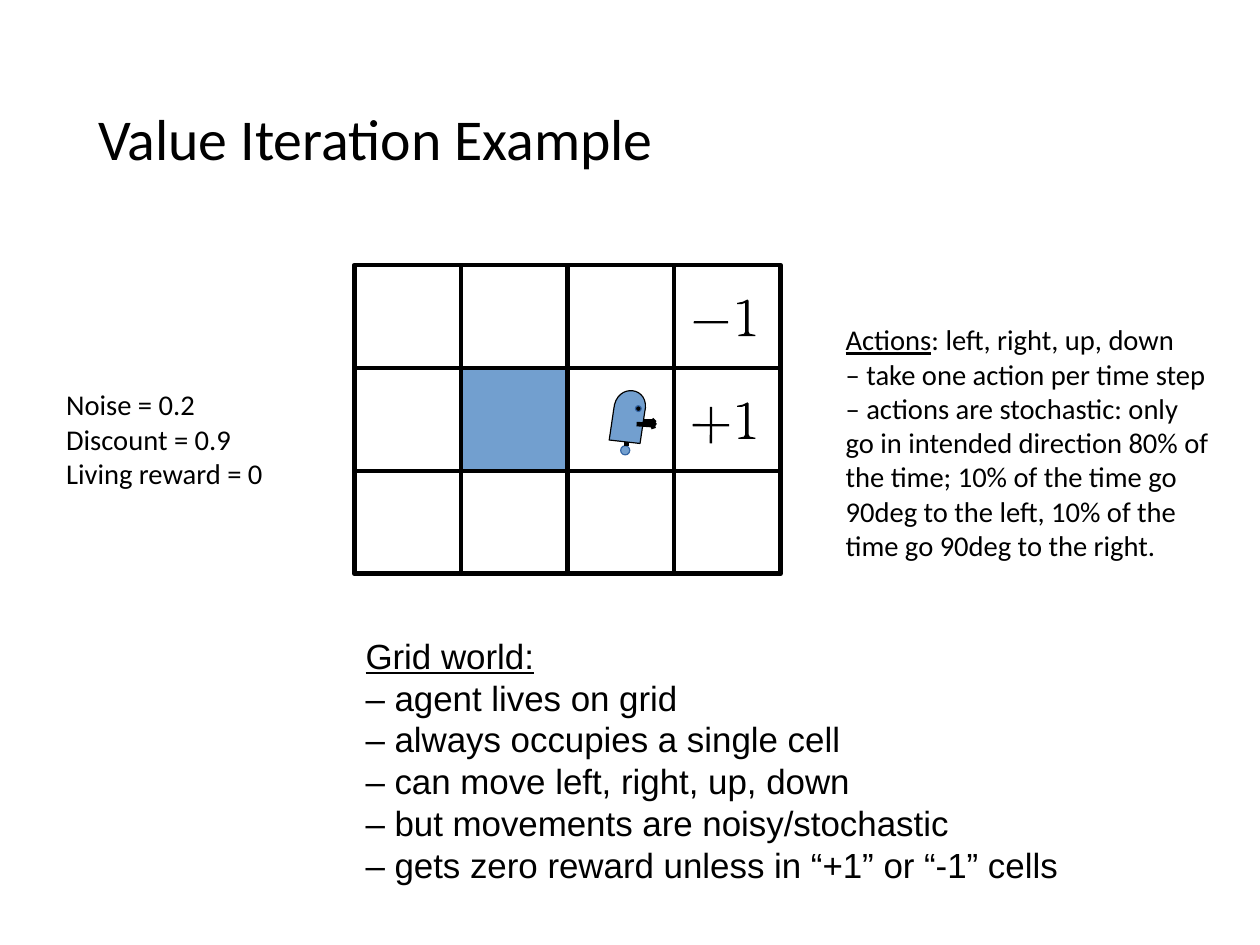
"""Build the value iteration slide: a grid world with its agent, rewards and notes."""
from lxml import etree
from pptx import Presentation
from pptx.dml.color import RGBColor
from pptx.enum.shapes import MSO_CONNECTOR, MSO_SHAPE as SHAPE
from pptx.enum.text import MSO_ANCHOR as ANCHOR
from pptx.oxml.ns import qn
from pptx.util import Inches, Pt

COLORS = {"ink": "000000", "blue": "729FCF", "edge": "3465A4"}


def paint(shape, fill=None, line=None, width=0):
    shape.shadow.inherit = False
    for part, name in ((shape.fill, fill), (shape.line.fill, line)):
        if name:
            part.solid()
            part.fore_color.rgb = RGBColor.from_string(COLORS[name])
        else:
            part.background()
    if line:
        shape.line.width = Pt(width)


def write(area, paragraphs, size, font, wrap=True, anchor=ANCHOR.TOP, spacing=None):
    box = page.shapes.add_textbox(*map(Inches, area))
    frame = box.text_frame
    frame.word_wrap = wrap
    frame.vertical_anchor = anchor
    for index, spans in enumerate(paragraphs):
        para = frame.paragraphs[0] if index == 0 else frame.add_paragraph()
        para.line_spacing = spacing
        for text, underlined in spans:
            span = para.add_run()
            span.text = text
            span.font.size = Pt(size)
            span.font.name = font
            span.font.underline = underlined
            span.font.color.rgb = RGBColor.from_string(COLORS["ink"])


CM_PER_INCH = 2.54
deck = Presentation()
deck.slide_width, deck.slide_height = Inches(28 / CM_PER_INCH), Inches(21 / CM_PER_INCH)
page = deck.slides.add_slide(deck.slide_layouts[6])
shapes = page.shapes

GRID_LEFT, GRID_TOP, GRID_WIDTH, CELL_HEIGHT = 3.1, 2.32, 3.73, 0.9
CELL_WIDTH = GRID_WIDTH / 4
STROKE = 2.89
WALL = (1, 1)

write((3.1, 5.5, 6.33, 2.23), [
    [("Grid world:", True)],
    [("– agent lives on grid", False)],
    [("– always occupies a single cell", False)],
    [("– can move left, right, up, down", False)],
    [("– but movements are noisy/stochastic", False)],
    [("– gets zero reward unless in “+1” or “-1” cells", False)],
], 22, "Arial", wrap=False)

for row in range(3):
    for column in range(4):
        cell = shapes.add_shape(
            SHAPE.RECTANGLE,
            Inches(GRID_LEFT + column * CELL_WIDTH), Inches(GRID_TOP + row * CELL_HEIGHT),
            Inches(CELL_WIDTH), Inches(CELL_HEIGHT))
        paint(cell, "blue" if (row, column) == WALL else None, "ink", STROKE)

head_curve = [(5.64, 3.61), (5.7, 3.38), (5.39, 3.34), (5.37, 3.58)]
body = []
for step in range(17):
    t = step / 16
    weights = ((1 - t) ** 3, 3 * t * (1 - t) ** 2, 3 * t * t * (1 - t), t ** 3)
    body.append([sum(w * point[axis] for w, point in zip(weights, head_curve)) for axis in (0, 1)])
body += [(5.33, 3.85), (5.6, 3.88)]

digit_one = [
    (6.55, 2.63), (6.54, 2.62), (6.5, 2.64), (6.45, 2.65), (6.45, 2.66), (6.49, 2.66),
    (6.52, 2.65), (6.52, 2.9), (6.51, 2.92), (6.46, 2.93), (6.46, 2.94), (6.61, 2.94),
    (6.61, 2.93), (6.56, 2.92), (6.55, 2.9)]
lower_one = [(x, y + CELL_HEIGHT) for x, y in digit_one]

for outline, fill, line in ((body, "blue", "ink"), (digit_one, "ink", None), (lower_one, "ink", None)):
    points = [(Inches(x), Inches(y)) for x, y in outline]
    builder = shapes.build_freeform(*points[0])
    builder.add_line_segments(points[1:], close=True)
    paint(builder.convert_to_shape(), fill, line)

for kind, area, fill, line in (
    (SHAPE.OVAL, (5.43, 3.9, 0.08, 0.08), "blue", "edge"),
    (SHAPE.OVAL, (5.56, 3.55, 0.05, 0.05), "ink", "edge"),
    (SHAPE.ROUNDED_RECTANGLE, (6.07, 2.81, 0.3, 0.02), "ink", None),
    (SHAPE.ROUNDED_RECTANGLE, (6.06, 3.71, 0.32, 0.02), "ink", None),
    (SHAPE.ROUNDED_RECTANGLE, (6.21, 3.56, 0.02, 0.32), "ink", None),
):
    paint(shapes.add_shape(kind, *map(Inches, area)), fill, line)

for ends in (
    (5.48, 3.87, 5.48, 3.9),
    (5.63, 3.69, 5.71, 3.69),
    (5.73, 3.67, 5.71, 3.69),
    (5.73, 3.72, 5.71, 3.69),
    (5.57, 3.71, 5.71, 3.72),
    (5.73, 3.7, 5.71, 3.72),
    (5.72, 3.75, 5.71, 3.72),
):
    limb = shapes.add_connector(MSO_CONNECTOR.STRAIGHT, *map(Inches, ends))
    limb.line.color.rgb = RGBColor.from_string(COLORS["ink"])
    limb.line.width = Pt(STROKE)
    etree.SubElement(limb._element.spPr, qn("a:effectLst"))

write((0.76, 0.44, 9.51, 1.6), [[("Value Iteration Example", False)]],
      36.4, "Calibri", anchor=ANCHOR.MIDDLE, spacing=0.9)

write((0.48, 3.34, 2.15, 1.01), [
    [("Noise = 0.2", False)],
    [("Discount = 0.9", False)],
    [("Living reward = 0", False)],
], 18, "Calibri")

write((7.3, 2.77, 3.48, 2.52), [
    [("Actions", True), (": left, right, up, down", False)],
    [("– take one action per time step", False)],
    [("– actions are stochastic: only", False)],
    [("go in intended direction 80% of", False)],
    [("the time; 10% of the time go", False)],
    [("90deg to the left, 10% of the", False)],
    [("time go 90deg to the right.", False)],
], 18, "Calibri", wrap=False)

deck.save("out.pptx")
